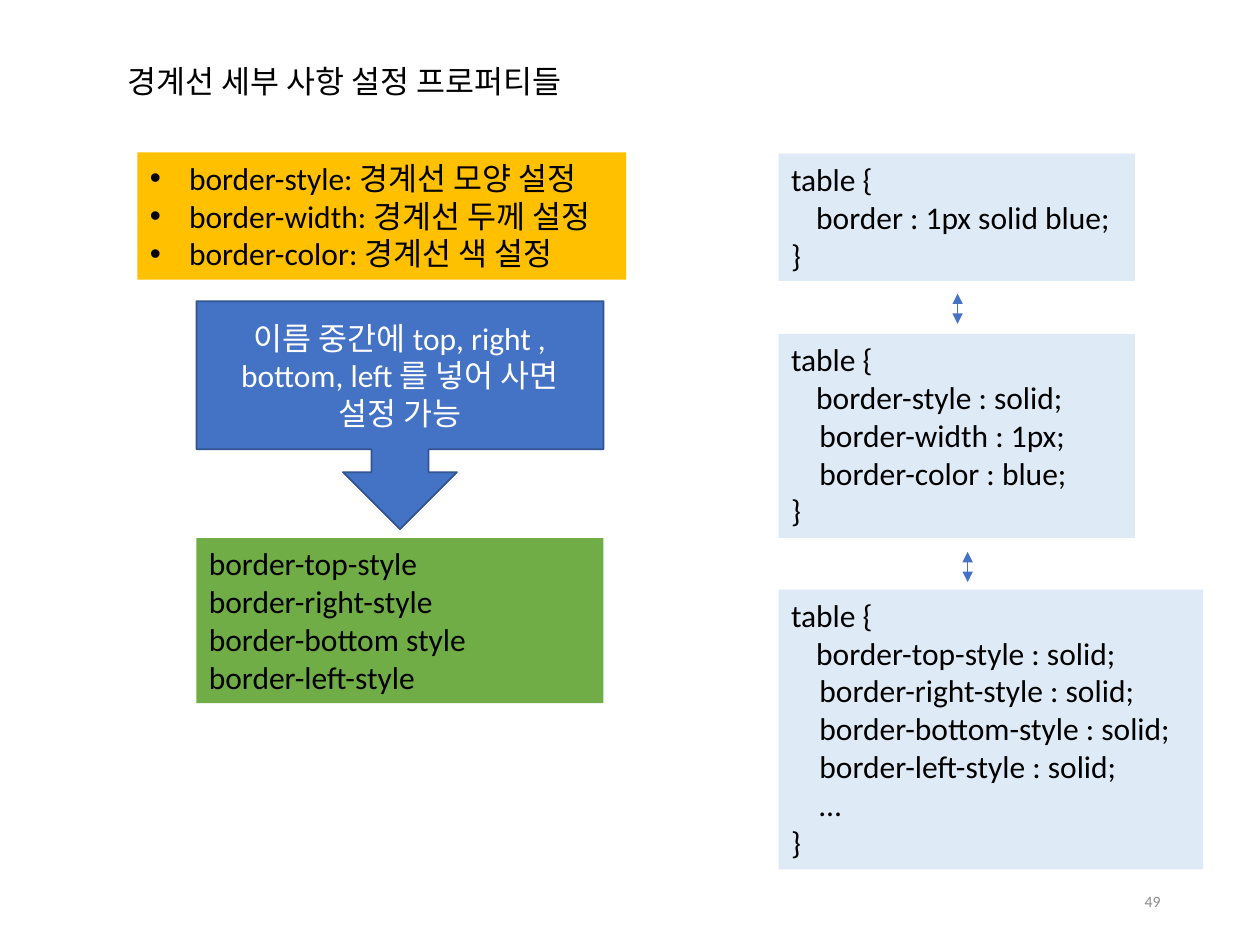
"""Build the slide on CSS border detail properties."""
from dataclasses import dataclass

from lxml import etree
from pptx import Presentation
from pptx.dml.color import RGBColor
from pptx.enum.shapes import MSO_CONNECTOR, MSO_SHAPE
from pptx.enum.text import MSO_ANCHOR, MSO_AUTO_SIZE, PP_ALIGN
from pptx.oxml.ns import qn
from pptx.util import Inches, Pt

RECT, CALLOUT = MSO_SHAPE.RECTANGLE, MSO_SHAPE.DOWN_ARROW_CALLOUT
STRAIGHT = MSO_CONNECTOR.STRAIGHT
TOP, MIDDLE = MSO_ANCHOR.TOP, MSO_ANCHOR.MIDDLE
LEFT, CENTER, RIGHT = PP_ALIGN.LEFT, PP_ALIGN.CENTER, PP_ALIGN.RIGHT
NO_FIT = MSO_AUTO_SIZE.NONE

COLORS = {
    "black": "000000", "white": "FFFFFF", "gray": "8C8C8C", "gold": "FFC000",
    "green": "70AD47", "blue": "4472C4", "navy": "325491", "pale": "DEEBF7",
}
CODE_LEFT = 6.18
CODE_INDENT = 0.2
BULLET_INDENT = 0.31


@dataclass
class Panel:
    """A filled shape with lines of text."""
    left: float
    top: float
    width: float
    height: float
    fill: str
    lines: list[str]
    kind: int = RECT
    line: str = ""
    color: str = "black"
    align: int = LEFT
    anchor: int = TOP


@dataclass
class Link:
    """A vertical line with an arrowhead at each end."""
    x: float
    top: float
    bottom: float


PANELS = [
    Panel(1.56, 4.27, 3.23, 1.31, "green",
          ["border-top-style", "border-right-style",
           "border-bottom style", "border-left-style"]),
    Panel(1.56, 2.39, 3.23, 1.81, "blue",
          ["이름 중간에 top, right , bottom, left 를 넣어 사면 설정 가능"],
          CALLOUT, "navy", "white", CENTER, MIDDLE),
    Panel(CODE_LEFT, 1.22, 2.83, 1.01, "pale",
          ["table {", "\tborder : 1px solid blue;", "}"]),
    Panel(CODE_LEFT, 2.65, 2.83, 1.62, "pale",
          ["table {", "\tborder-style : solid;", "    border-width : 1px;",
           "    border-color : blue;", "}"]),
    Panel(CODE_LEFT, 4.68, 3.37, 2.22, "pale",
          ["table {", "\tborder-top-style : solid;",
           "    border-right-style : solid;", "    border-bottom-style : solid;",
           "    border-left-style : solid;", "    …", "}"]),
]
LINKS = [Link(7.6, 2.33, 2.57), Link(7.68, 4.38, 4.62)]
BULLETS = ["border-style: 경계선 모양 설정", "border-width: 경계선 두께 설정",
           "border-color: 경계선 색 설정"]


def rgb(name: str) -> RGBColor:
    """Return the named colour."""
    return RGBColor.from_string(COLORS[name])


def place(s, left: float, top: float, width: float, height: float) -> None:
    """Move and size a shape."""
    box = {"left": left, "top": top, "width": width, "height": height}
    for name, value in box.items():
        setattr(s, name, Inches(value))


def add_tab(p) -> None:
    """Set the tab stop of an indented code line."""
    tabs = etree.SubElement(p._p.get_or_add_pPr(), qn("a:tabLst"))
    etree.SubElement(tabs, qn("a:tab"), pos=str(Inches(CODE_INDENT)), algn="l")


def add_bullet(p) -> None:
    """Give a paragraph a hanging round bullet."""
    pPr = p._p.get_or_add_pPr()
    pPr.set("marL", str(Inches(BULLET_INDENT)))
    pPr.set("indent", str(-Inches(BULLET_INDENT)))
    etree.SubElement(pPr, qn("a:buFont"), typeface="Arial")
    etree.SubElement(pPr, qn("a:buChar"), char="•")


def write(s, lines: list[str], size: float = 18, color: str = "black",
          align: int = LEFT, anchor: int = TOP, wrap: bool = True,
          bullets: bool = False) -> None:
    """Fill a shape with formatted paragraphs."""
    tf = s.text_frame
    frame = {"word_wrap": wrap, "auto_size": NO_FIT, "vertical_anchor": anchor}
    for name, value in frame.items():
        setattr(tf, name, value)
    for i, text in enumerate(lines):
        p = tf.add_paragraph() if i else tf.paragraphs[0]
        p.alignment, p.space_before = align, Pt(0)
        if bullets:
            add_bullet(p)
        if text.startswith("\t"):
            add_tab(p)
        r = p.add_run()
        r.text = text
        for name, value in {"name": "Calibri", "size": Pt(size)}.items():
            setattr(r.font, name, value)
        r.font.color.rgb = rgb(color)


def add_panel(slide, panel: Panel) -> None:
    """Draw one filled panel."""
    s = slide.shapes.add_shape(
        panel.kind, *map(Inches, (panel.left, panel.top, panel.width, panel.height)))
    s.shadow.inherit = False
    s.fill.solid()
    s.fill.fore_color.rgb = rgb(panel.fill)
    if panel.line:
        s.line.color.rgb = rgb(panel.line)
        s.line.width = Pt(1)
    else:
        s.line.fill.background()
    write(s, panel.lines, color=panel.color, align=panel.align, anchor=panel.anchor)


def add_link(slide, link: Link) -> None:
    """Draw one double-headed arrow."""
    s = slide.shapes.add_connector(
        STRAIGHT, *map(Inches, (link.x, link.top, link.x, link.bottom)))
    s.line.color.rgb = rgb("blue")
    s.line.width = Pt(0.5)
    for end in ("a:headEnd", "a:tailEnd"):
        etree.SubElement(s.line._get_or_add_ln(), qn(end), type="triangle")
    etree.SubElement(s._element.spPr, qn("a:effectLst"))


def main() -> None:
    """Build and save the slide."""
    prs = Presentation()
    prs.slide_width, prs.slide_height = Inches(10), Inches(7.5)
    slide = prs.slides.add_slide(prs.slide_layouts[1])

    title, body = slide.placeholders
    place(title, 0.91, 0.44, 3.97, 0.4)
    write(title, ["경계선 세부 사항 설정 프로퍼티들"], wrap=False)
    place(body, 1.09, 1.21, 3.88, 1.01)
    body.fill.solid()
    body.fill.fore_color.rgb = rgb("gold")
    write(body, BULLETS, wrap=False, bullets=True)

    for panel in PANELS:
        add_panel(slide, panel)
    for link in LINKS:
        add_link(slide, link)

    number = slide.shapes.add_textbox(*map(Inches, (7.06, 6.95, 2.25, 0.4)))
    write(number, ["49"], 9, "gray", RIGHT, MIDDLE)
    prs.save("out.pptx")


if __name__ == "__main__":
    main()
